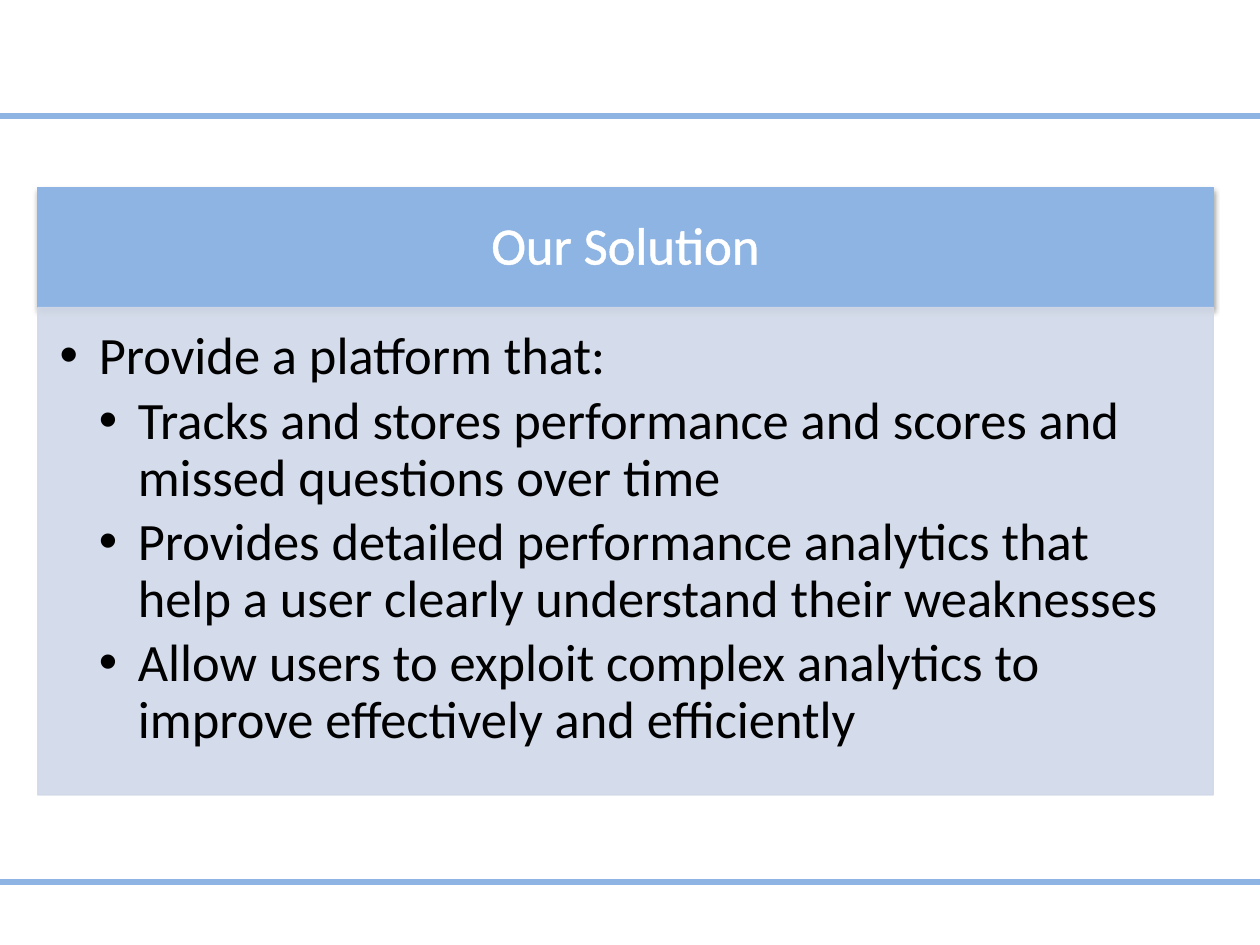
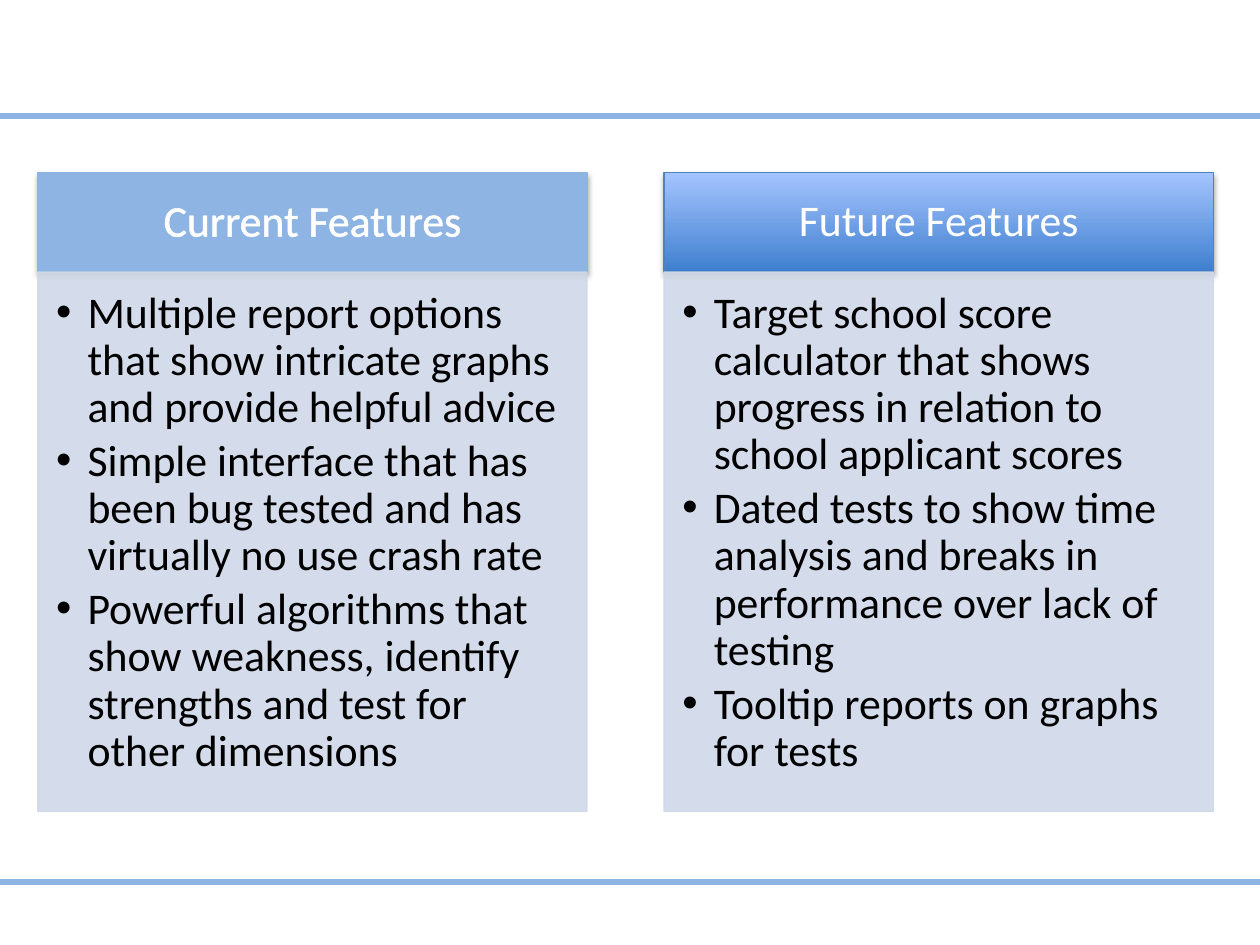
import pptx
import pptx.util
import pptx.dml.color
import pptx.enum.shapes
import pptx.enum.text
import pptx.oxml
import pptx.oxml.ns
from pptx.util import Inches, Pt

RGB = pptx.dml.color.RGBColor
SKY = RGB(0x8E, 0xB4, 0xE3)
PALE = RGB(0xD0, 0xD8, 0xE8)
DEEP = RGB(0x3F, 0x7F, 0xCE)
LIGHT = RGB(0xA4, 0xC4, 0xFF)
EDGE = RGB(0x4F, 0x81, 0xBD)
WHITE = RGB(0xFF, 0xFF, 0xFF)
BLACK = RGB(0, 0, 0)
FACE = "Calibri"
LEFT, WIDE = 0.3, 9.33


def add_xml(parent, tag, **attrs):
    """Append one drawing element and return it."""
    node = pptx.oxml.ns.qn("a:" + tag)
    child = parent.makeelement(node, {k: str(v) for k, v in attrs.items()})
    parent.append(child)
    return child


def add_rule(slide, y):
    """Full-width line."""
    line = slide.shapes.add_connector(
        pptx.enum.shapes.MSO_CONNECTOR.STRAIGHT, 0, Inches(y), Inches(10), Inches(y))
    line.line.color.rgb = SKY
    line.line.width = Pt(3)
    add_xml(line._element.spPr, "effectLst")


def add_box(slide, x, y, w, h, pads, edge):
    """Plain rectangle with text insets (left, top, right, bottom)."""
    box = slide.shapes.add_shape(
        pptx.enum.shapes.MSO_SHAPE.RECTANGLE, *map(Inches, (x, y, w, h)))
    box.shadow.inherit = False
    box.line.color.rgb = edge
    box.line.width = Pt(0.75)
    frame = box.text_frame
    frame.word_wrap = True
    (frame.margin_left, frame.margin_top,
     frame.margin_right, frame.margin_bottom) = map(Inches, pads)
    return box


def style_text(para, size, color, align, after):
    para.alignment = align
    para.line_spacing = 0.9
    para.space_after = Pt(size * after)
    para.font.size = Pt(size)
    para.font.name = FACE
    para.font.color.rgb = color


def add_head(slide, x, y, w, h, text, size, shaded):
    """Header band with a soft shadow, flat or shaded."""
    side, top = size / 130, size / 230
    box = add_box(slide, x, y, w, h, (side, top, side, top), EDGE if shaded else SKY)
    if shaded:
        box.fill.gradient()
        box.fill.gradient_angle = 90
        for stop, color in zip(box.fill.gradient_stops, (DEEP, LIGHT)):
            stop.color.rgb = color
    else:
        box.fill.solid()
        box.fill.fore_color.rgb = SKY
    effects = box._element.spPr.find(pptx.oxml.ns.qn("a:effectLst"))
    shadow = add_xml(effects, "outerShdw", blurRad=Pt(3.1), dist=Pt(1.8),
                     dir=5400000, rotWithShape=0)
    add_xml(add_xml(shadow, "srgbClr", val=BLACK), "alpha", val=35000)

    box.text_frame.vertical_anchor = pptx.enum.text.MSO_ANCHOR.MIDDLE
    para = box.text_frame.paragraphs[0]
    style_text(para, size, WHITE, pptx.enum.text.PP_ALIGN.CENTER, 0.35)
    run = para.add_run()
    run.text = text
    if not shaded:  # thin white outline on the letters
        line = add_xml(run._r.get_or_add_rPr(), "ln", w=Pt(0.75))
        add_xml(add_xml(line, "solidFill"), "srgbClr", val=WHITE)


def add_body(slide, x, y, w, h, items, size, dent):
    """Translucent panel of bullets; items are (level, text)."""
    near = size / 172
    box = add_box(slide, x, y, w, h, (near, near, size / 130, size / 115), PALE)
    box.fill.solid()
    box.fill.fore_color.rgb = PALE
    for color in box._element.spPr.iter(pptx.oxml.ns.qn("a:srgbClr")):
        add_xml(color, "alpha", val=90000)

    frame = box.text_frame
    frame.vertical_anchor = pptx.enum.text.MSO_ANCHOR.TOP
    for i, (level, text) in enumerate(items):
        para = frame.add_paragraph() if i else frame.paragraphs[0]
        para.text = text
        para.level = level
        props = para._p.get_or_add_pPr()
        props.set("marL", str(Inches(dent * (level + 1))))
        props.set("indent", str(-Inches(dent)))
        add_xml(props, "buFont", typeface="Arial")
        add_xml(props, "buChar", char="•")
        style_text(para, size, BLACK, pptx.enum.text.PP_ALIGN.LEFT, 0.15)


def add_panel(slide, x, y, w, band, h, title, items, size, dent, shaded=False):
    """Header band on top of its bullet panel."""
    add_head(slide, x, y, w, band, title, size, shaded)
    add_body(slide, x, y + band, w, h - band, items, size, dent)


def start(deck):
    """Blank slide with the top and bottom rules."""
    slide = deck.slides.add_slide(deck.slide_layouts[6])
    for y in (0.92, 7):
        add_rule(slide, y)
    return slide


def make_plan(deck):
    items = [
        (0, "Provide a platform that:"),
        (1, "Tracks and stores performance and scores and missed questions over time"),
        (1, "Provides detailed performance analytics that help a user clearly "
            "understand their weaknesses"),
        (1, "Allow users to exploit complex analytics to improve effectively "
            "and efficiently"),
    ]
    add_panel(start(deck), LEFT, 1.49, WIDE, 0.95, 4.82, "Our Solution", items, 30, 0.31)


def make_pair(deck):
    slide = start(deck)
    panels = [
        ("Current Features", [
            "Multiple report options that show intricate graphs and provide helpful advice",
            "Simple interface that has been bug tested and has virtually no use crash rate",
            "Powerful algorithms that show weakness, identify strengths and test for "
            "other dimensions"]),
        ("Future Features", [
            "Target school score calculator that shows progress in relation to "
            "school applicant scores",
            "Dated tests to show time analysis and breaks in performance over "
            "lack of testing",
            "Tooltip reports on graphs for tests"]),
    ]
    w = 4.36
    for i, (title, lines) in enumerate(panels):
        add_panel(slide, LEFT + i * (WIDE - w), 1.37, w, 0.79, 5.07, title,
                  [(0, line) for line in lines], 25, 0.25, shaded=i == 1)


def main():
    deck = pptx.Presentation()
    deck.slide_width, deck.slide_height = Inches(10), Inches(7.5)
    make_plan(deck)
    make_pair(deck)
    deck.save("out.pptx")


if __name__ == "__main__":
    main()
